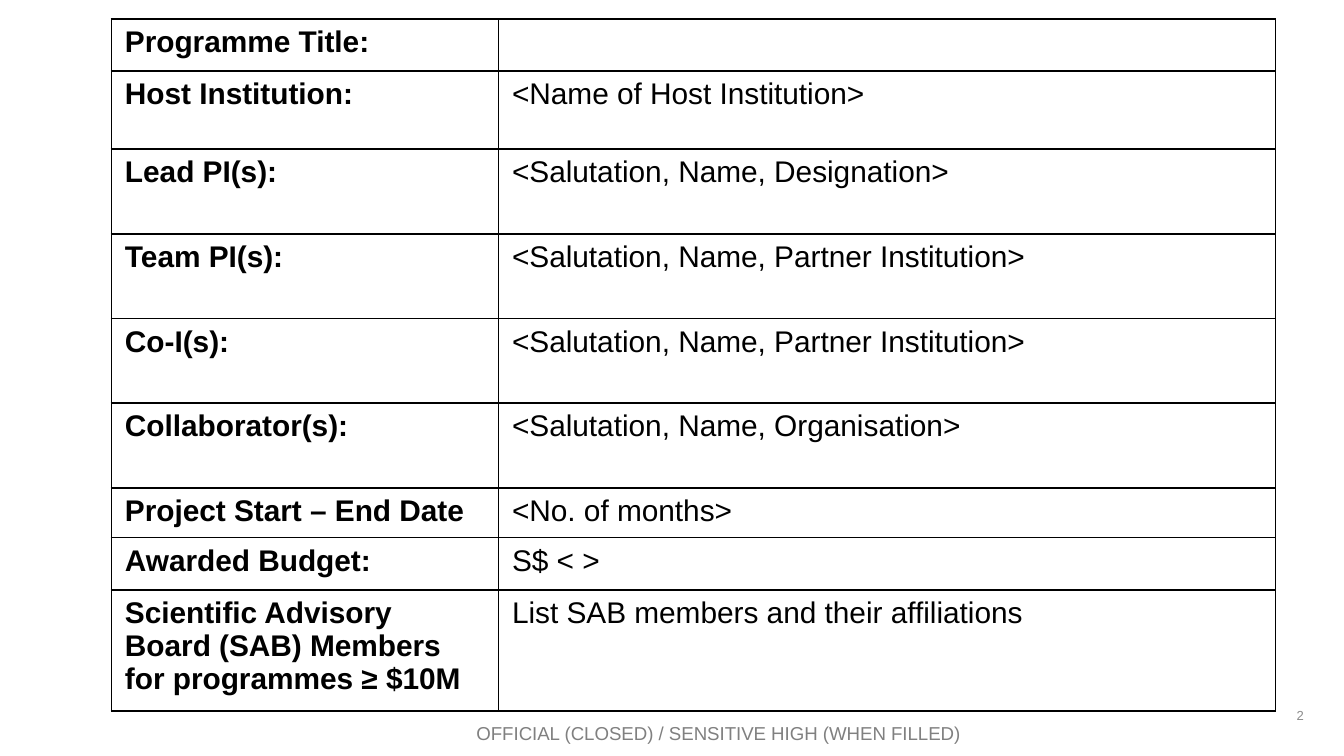
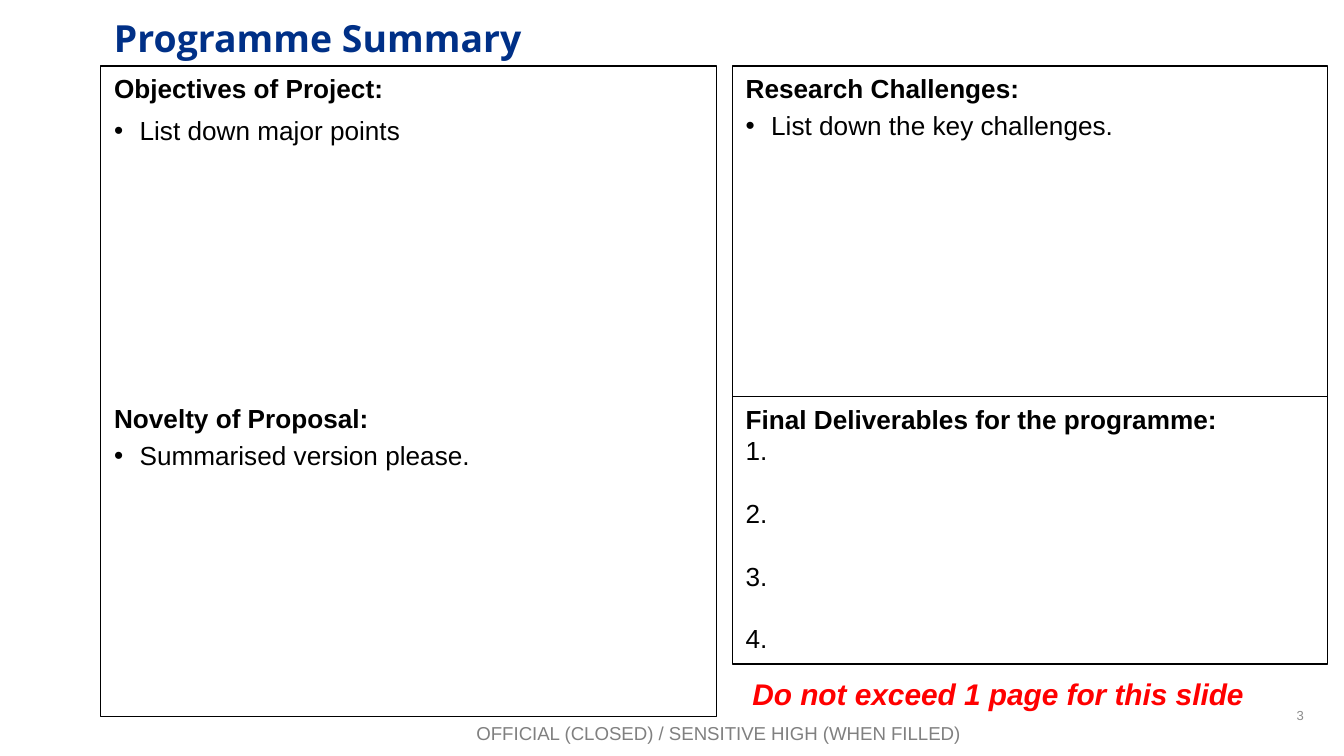
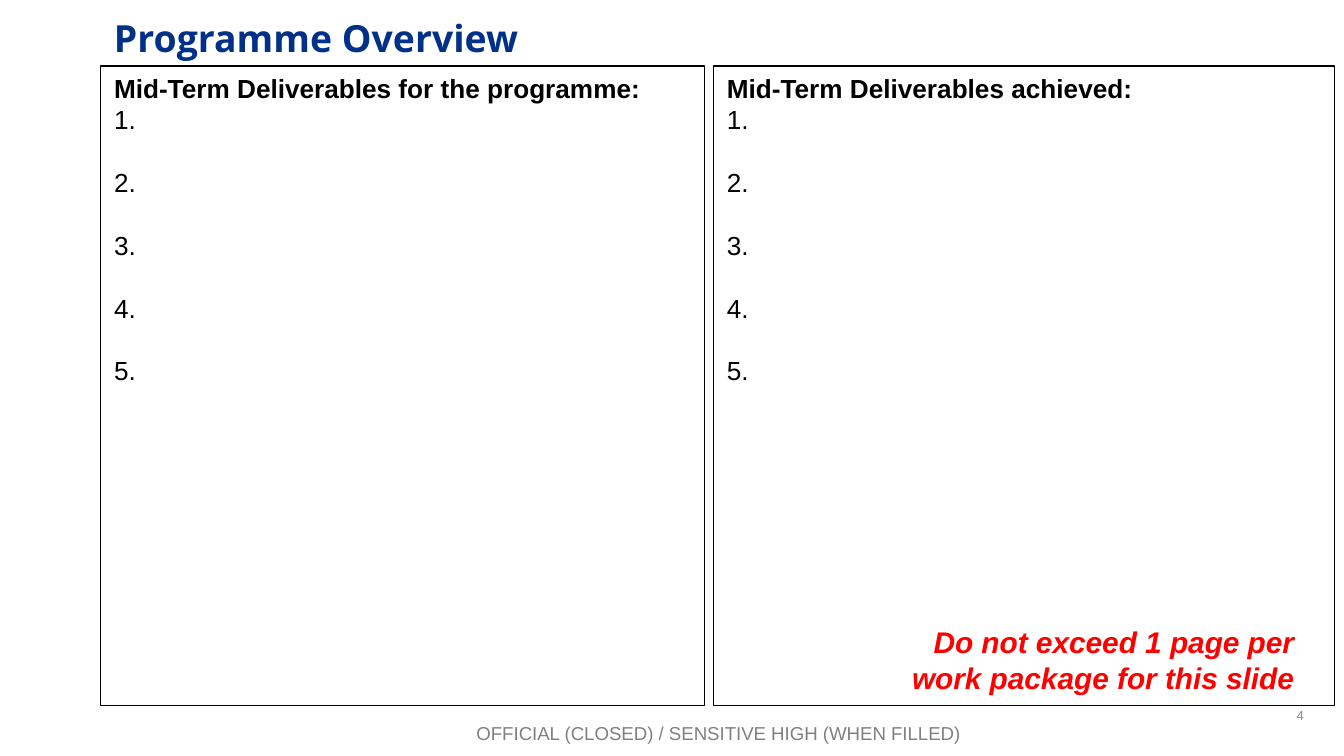
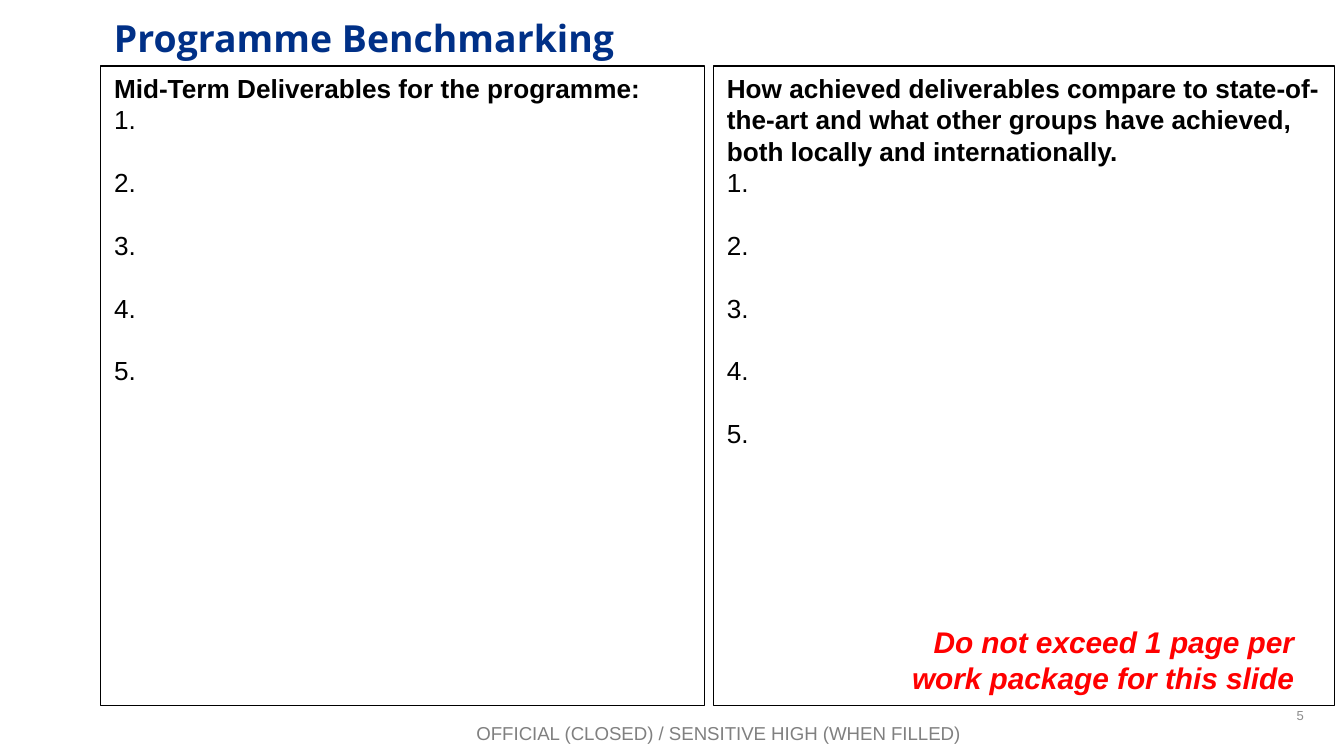
from lxml.etree import SubElement as Sub
from pptx import Presentation
from pptx.dml.color import RGBColor as RGB
from pptx.enum.shapes import MSO_SHAPE as Shape
from pptx.enum.text import MSO_ANCHOR as Anchor, PP_ALIGN as Align
from pptx.oxml.ns import qn
from pptx.util import Inches, Pt

# Shared look
INK = {"text": "000000", "title": "003087", "warn": "FF0000",
       "foot": "808080", "page": "8C8C8C"}
FOOT = "OFFICIAL (CLOSED) / SENSITIVE HIGH (WHEN FILLED)"
WIDE = Inches(10)
STEP = 16.8     # free line above each numbered item, in points
HANG = 0.19     # bullet indent

# Slide 1: label, entry, row height
FACTS = [
    ("Programme Title:", "", 0.39),
    ("Host Institution:", "<Name of Host Institution>", 0.58),
    ("Lead PI(s):", "<Salutation, Name, Designation>", 0.63),
    ("Team PI(s):", "<Salutation, Name, Partner Institution>", 0.63),
    ("Co-I(s):", "<Salutation, Name, Partner Institution>", 0.63),
    ("Collaborator(s):", "<Salutation, Name, Organisation>", 0.63),
    ("Project Start – End Date", "<No. of months>", 0.37),
    ("Awarded Budget:", "S$ < >", 0.39),
    ("Scientific Advisory Board (SAB) Members for programmes ≥ $10M",
     "List SAB members and their affiliations", 0.9),
]
COLS = (2.88, 5.78)


def head(text, gap=0):
    return text, "head", gap


def dot(text, gap):
    return text, "dot", gap


def count(last):
    return [(f"{n}.", "item", STEP if n > 1 else 0)
            for n in range(1, last + 1)]


# Slides 2 to 4: panels as (place, paragraphs), then the red reminder
LEFT, RIGHT = (0.75, 0.49, 4.49, 4.76), (5.31, 0.49, 4.62, 4.76)
GOALS = (LEFT, [head("Mid-Term Deliverables for the programme:")] + count(5))
LIMIT = ("Do not exceed 1 page per work package for this slide",
         (6.33, 4.59, 3.4, 0.64), Align.RIGHT, True)
PAGES = [
    ("Programme Summary", [
        ((0.75, 0.49, 4.58, 4.84), [
            head("Objectives of Project:"),
            dot("List down major points", 5.6),
            head("Novelty of Proposal:", 137.5),
            dot("Summarised version please.", 3)]),
        ((5.45, 0.49, 4.43, 2.46), [
            head("Research Challenges:"),
            dot("List down the key challenges.", 3)]),
        ((5.45, 2.95, 4.43, 1.99),
         [head("Final Deliverables for the programme:")] + count(4)),
    ], ("Do not exceed 1 page for this slide",
        (5.5, 4.98, 3.91, 0.37), Align.LEFT, False)),
    ("Programme Overview", [
        GOALS,
        (RIGHT, [head("Mid-Term Deliverables achieved:")] + count(5)),
    ], LIMIT),
    ("Programme Benchmarking", [
        GOALS,
        (RIGHT, [head("How achieved deliverables compare to state-of-the-art "
                      "and what other groups have achieved, both locally and "
                      "internationally.")] + count(5)),
    ], LIMIT),
]


def style(para, size, ink="text", bold=False, italic=False, face="Arial"):
    font = para.font
    font.name, font.size = face, Pt(size)
    font.bold, font.italic = bold, italic
    font.color.rgb = RGB.from_string(INK[ink])


def label(slide, text, at, size, ink, align=Align.LEFT, wrap=True,
          anchor=Anchor.TOP, **look):
    frame = slide.shapes.add_textbox(*map(Inches, at)).text_frame
    frame.word_wrap, frame.vertical_anchor = wrap, anchor
    para = frame.paragraphs[0]
    para.text, para.alignment = text, align
    style(para, size, ink, **look)


def start(deck, page):
    """Add a blank slide with page number and footer."""
    slide = deck.slides.add_slide(deck.slide_layouts[6])
    label(slide, str(page), (7.47, 5.17, 2.33, 0.3), 7, "page",
          Align.RIGHT, anchor=Anchor.MIDDLE)
    label(slide, FOOT, (0.68, 5.32, 9.33, 0.27), 10, "foot", Align.CENTER)
    return slide


def bullet(para):
    props = para._p.get_or_add_pPr()
    props.set("marL", str(Inches(HANG)))
    props.set("indent", str(-Inches(HANG)))
    Sub(props, qn("a:buFont")).set("typeface", "Arial")
    Sub(props, qn("a:buChar")).set("char", "•")


def panel(slide, at, lines):
    box = slide.shapes.add_shape(Shape.RECTANGLE, *map(Inches, at))
    box.shadow.inherit = False
    box.fill.background()
    box.line.color.rgb = RGB.from_string(INK["text"])
    box.line.width = Pt(0.75)
    frame = box.text_frame
    frame.word_wrap, frame.vertical_anchor = True, Anchor.TOP
    for i, (text, kind, gap) in enumerate(lines):
        para = frame.add_paragraph() if i else frame.paragraphs[0]
        para.text, para.alignment = text, Align.LEFT
        if kind == "dot":
            bullet(para)
        if gap:
            para.space_before = Pt(gap)
        style(para, 14, bold=kind == "head")


def border(cell):
    props = cell._tc.get_or_add_tcPr()
    for i, side in enumerate(("lnL", "lnR", "lnT", "lnB")):
        line = props.makeelement(qn("a:" + side), {"w": str(Pt(1))})
        fill = Sub(line, qn("a:solidFill"))
        Sub(fill, qn("a:srgbClr")).set("val", INK["text"])
        props.insert(i, line)


def facts(slide):
    high = sum(row[2] for row in FACTS)
    table = slide.shapes.add_table(
        len(FACTS), len(COLS), Inches(0.83), Inches(0.14),
        Inches(sum(COLS)), Inches(high)).table
    table.first_row = table.horz_banding = False
    for col, wide in zip(table.columns, COLS):
        col.width = Inches(wide)
    for row, (name, entry, tall) in zip(table.rows, FACTS):
        row.height = Inches(tall)
        for cell, text in zip(row.cells, (name, entry)):
            cell.text = text
            cell.fill.background()
            border(cell)
            style(cell.text_frame.paragraphs[0], 16, bold=text == name)


def main():
    deck = Presentation()
    deck.slide_width, deck.slide_height = WIDE, WIDE * 9 // 16
    facts(start(deck, 2))
    for page, (title, panels, note) in enumerate(PAGES, 3):
        slide = start(deck, page)
        label(slide, title, (0.75, 0.06, 8.66, 0.79), 20, "title",
              bold=True, face="Open Sans")
        for at, lines in panels:
            panel(slide, at, lines)
        text, at, align, wrap = note
        label(slide, text, at, 16, "warn", align, wrap,
              bold=True, italic=True)
    deck.save("out.pptx")


if __name__ == "__main__":
    main()
